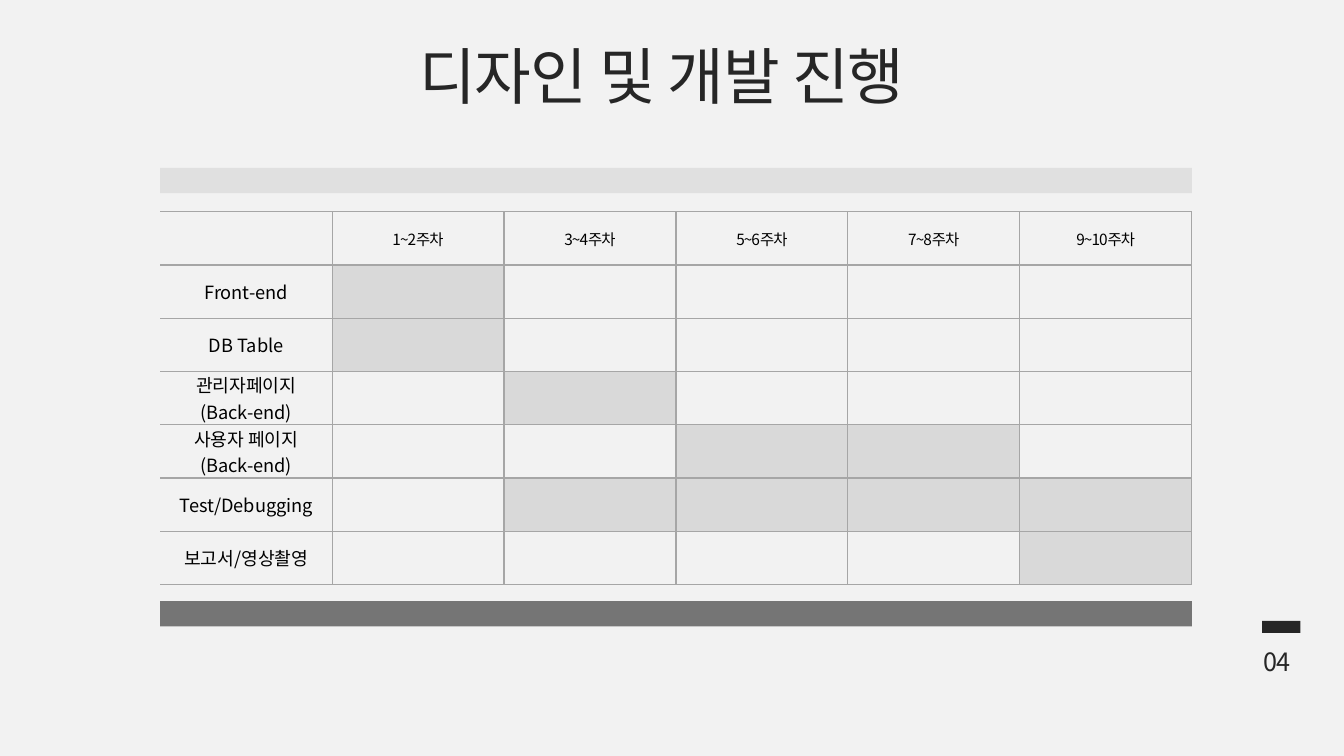
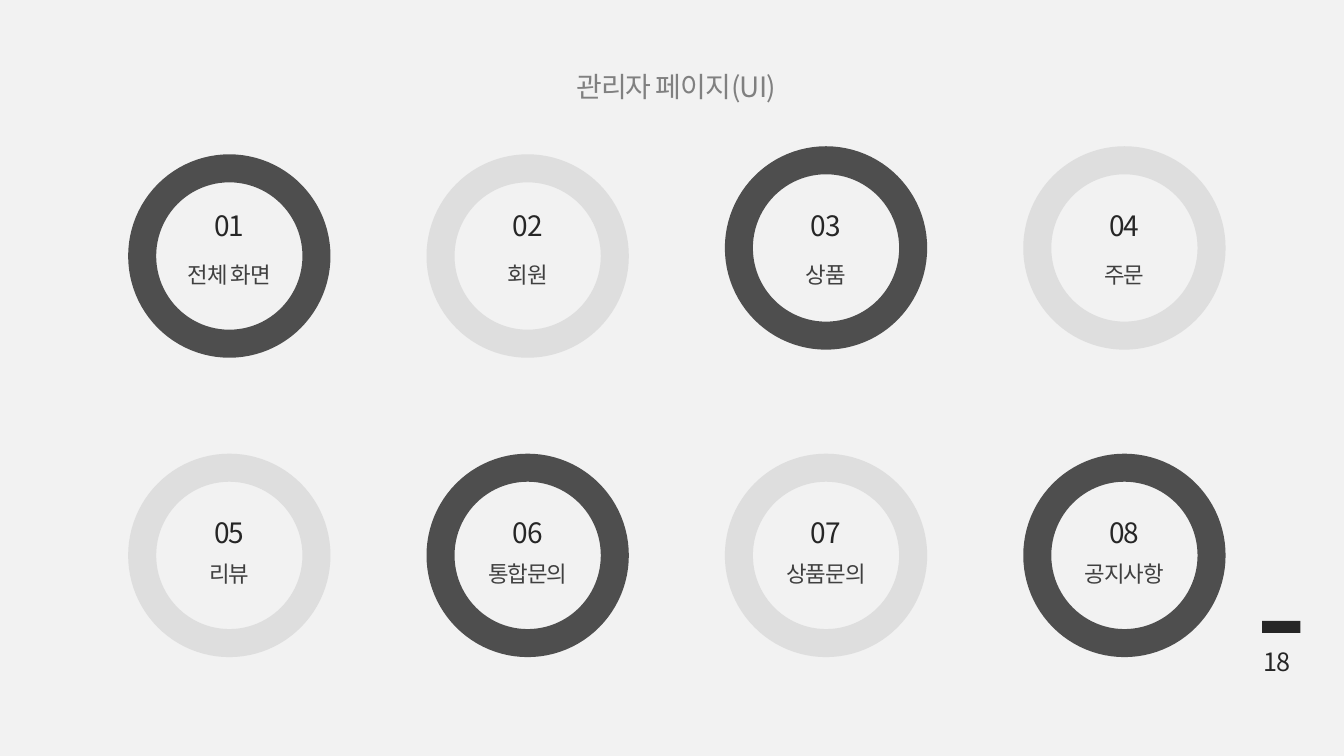
from dataclasses import dataclass
from itertools import product

from lxml import etree
from pptx import Presentation, util as u
from pptx.dml.color import RGBColor
from pptx.enum import shapes, text
from pptx.oxml import ns

FONT = "Noto Sans CJK KR"
PAPER = RGBColor(0xF2, 0xF2, 0xF2)
INK = RGBColor(0x26, 0x26, 0x26)
DARK = RGBColor(0x40, 0x40, 0x40)
MUTED = RGBColor(0x80, 0x80, 0x80)
RULE = RGBColor(0xA6, 0xA6, 0xA6)
LIGHT = RGBColor(0xD9, 0xD9, 0xD9)
BLACK = RGBColor(0, 0, 0)

SLIDE_WIDTH, SLIDE_HEIGHT = u.Inches(13.333), u.Inches(7.5)
BLANK_LAYOUT = 6


@dataclass(frozen=True)
class Area:
    """A rectangle in percent of the slide's width and height."""
    left: float
    top: float
    width: float
    height: float

    def lengths(self) -> tuple[int, int, int, int]:
        return (across(self.left), down(self.top),
                across(self.width), down(self.height))


@dataclass(frozen=True)
class TextStyle:
    size: float
    color: RGBColor
    align: text.PP_ALIGN = text.PP_ALIGN.CENTER
    spacing: int = -70  # hundredths of a point


@dataclass(frozen=True)
class Task:
    name: str
    periods: tuple[int, ...]


@dataclass(frozen=True)
class RingRow:
    """Vertical places of one row of rings, in percent of the height."""
    ring_tops: tuple[float, ...]
    number_top: float
    label_top: float


TITLE = TextStyle(44, INK)
SUBTITLE = TextStyle(20, MUTED)
PAGE_NUMBER = TextStyle(18, INK, text.PP_ALIGN.RIGHT)
PERIOD = TextStyle(11, BLACK)
TASK = TextStyle(13, BLACK, spacing=0)
RING_NUMBER = TextStyle(20, INK)
RING_LABEL = TextStyle(16, DARK)

SCHEDULE = Area(11.92, 28, 76.76, 49.33)
PERIODS = ("1~2주차", "3~4주차", "5~6주차", "7~8주차", "9~10주차")
TASKS = (
    Task("Front-end", (1,)),
    Task("DB Table", (1,)),
    Task("관리자페이지\n(Back-end)", (2,)),
    Task("사용자 페이지\n(Back-end)", (3, 4)),
    Task("Test/Debugging", (2, 3, 4, 5)),
    Task("보고서/영상촬영", (5,)),
)

RING_LABELS = ("전체 화면", "회원", "상품", "주문",
               "리뷰", "통합문의", "상품문의", "공지사항")
RING_COLUMNS = 4
RING_LEFT, RING_PITCH = 10.58, 22.2
RING_WIDTH, RING_HEIGHT = 12.97, 23.2
RING_ROWS = (
    RingRow((22.27, 22.27, 21.2, 21.2), 26.93, 33.87),
    RingRow((61.87,) * RING_COLUMNS, 67.47, 73.47),
)


def across(percent: float) -> int:
    return round(SLIDE_WIDTH * percent / 100)


def down(percent: float) -> int:
    return round(SLIDE_HEIGHT * percent / 100)


def write(text_frame, content: str, style: TextStyle) -> None:
    text_frame.text = content
    for paragraph in text_frame.paragraphs:
        paragraph.alignment = style.align
        for run in paragraph.runs:
            run.font.size = u.Pt(style.size)
            run.font.color.rgb = style.color
            run.font.name = FONT
            properties = run.font._element
            properties.set("spc", str(style.spacing))
            latin = properties.find(ns.qn("a:latin"))
            east_asian = etree.Element(ns.qn("a:ea"), typeface=FONT)
            latin.addnext(east_asian)


def add_text(slide, area: Area, content: str, style: TextStyle,
             anchor=text.MSO_ANCHOR.TOP) -> None:
    text_frame = slide.shapes.add_textbox(*area.lengths()).text_frame
    text_frame.word_wrap = True
    text_frame.vertical_anchor = anchor
    write(text_frame, content, style)


def set_line(line, color: RGBColor, points: float, opacity: int) -> None:
    line.color.rgb = color
    line.width = u.Pt(points)
    color_element = line._ln.find(".//" + ns.qn("a:srgbClr"))
    etree.SubElement(color_element, ns.qn("a:alpha"), val=str(opacity * 1000))


def add_band(slide, top: float, color: RGBColor) -> None:
    left, right = SCHEDULE.left, SCHEDULE.left + SCHEDULE.width
    band = slide.shapes.add_connector(
        shapes.MSO_CONNECTOR.STRAIGHT,
        across(left), down(top), across(right), down(top))
    set_line(band.line, color, 18, 70)
    etree.SubElement(band._element.spPr, ns.qn("a:effectLst"))


def add_ring(slide, area: Area, color: RGBColor) -> None:
    ring = slide.shapes.add_shape(shapes.MSO_SHAPE.OVAL, *area.lengths())
    ring.shadow.inherit = False
    ring.fill.background()
    set_line(ring.line, color, 20, 80)


def add_slide(presentation, page: str):
    """Add a blank slide with the page marker."""
    slide = presentation.slides.add_slide(
        presentation.slide_layouts[BLANK_LAYOUT])
    add_text(slide, Area(93.23, 84.8, 3.53, 5.33), page, PAGE_NUMBER)
    marker = slide.shapes.add_shape(
        shapes.MSO_SHAPE.RECTANGLE, *Area(93.9, 82.13, 2.85, 1.6).lengths())
    marker.shadow.inherit = False
    marker.fill.solid()
    marker.fill.fore_color.rgb = INK
    marker.line.fill.background()
    return slide


def set_borders(cell, open_left: bool) -> None:
    properties = cell._tc.get_or_add_tcPr()
    for side in "LRTB":
        border = etree.SubElement(
            properties, ns.qn(f"a:ln{side}"), w=str(u.Pt(1)))
        if side == "L" and open_left:
            etree.SubElement(border, ns.qn("a:noFill"))
        else:
            fill = etree.SubElement(border, ns.qn("a:solidFill"))
            etree.SubElement(fill, ns.qn("a:srgbClr"), val=str(RULE))


def format_cell(cell, content: str, style: TextStyle,
                open_left: bool, shaded: bool) -> None:
    cell.margin_top = cell.margin_bottom = 0
    cell.vertical_anchor = text.MSO_ANCHOR.MIDDLE
    if content:
        write(cell.text_frame, content, style)
    set_borders(cell, open_left)
    if shaded:
        cell.fill.solid()
        cell.fill.fore_color.rgb = LIGHT
    else:
        cell.fill.background()


def add_schedule(slide) -> None:
    row_count, column_count = len(TASKS) + 1, len(PERIODS) + 1
    table = slide.shapes.add_table(
        row_count, column_count, *SCHEDULE.lengths()).table
    table.first_row = table.horz_banding = False
    for row, column in product(range(row_count), range(column_count)):
        content, style, shaded = "", TASK, False
        if row == 0 and column > 0:
            content, style = PERIODS[column - 1], PERIOD
        elif row > 0:
            task = TASKS[row - 1]
            content = task.name if column == 0 else ""
            shaded = column in task.periods
        format_cell(table.cell(row, column), content, style,
                    column == 0, shaded)


def build_schedule_slide(presentation) -> None:
    slide = add_slide(presentation, "04")
    add_text(slide, Area(19.5, 4.8, 59.5, 10.13), "디자인 및 개발 진행",
             TITLE, text.MSO_ANCHOR.MIDDLE)
    add_band(slide, 23.87, LIGHT)
    add_band(slide, 81.2, DARK)
    add_schedule(slide)


def build_ring_slide(presentation) -> None:
    slide = add_slide(presentation, "18")
    add_text(slide, Area(24, 8.53, 52.6, 5.87), "관리자 페이지(UI)", SUBTITLE)
    for index, label in enumerate(RING_LABELS):
        row, column = divmod(index, RING_COLUMNS)
        places = RING_ROWS[row]
        left = RING_LEFT + column * RING_PITCH
        center = left + RING_WIDTH / 2
        color = LIGHT if (row + column) % 2 else INK
        add_ring(slide, Area(left, places.ring_tops[column],
                             RING_WIDTH, RING_HEIGHT), color)
        for content, style, top, width, height in (
                (f"{index + 1:02}", RING_NUMBER, places.number_top, 4.05, 5.87),
                (label, RING_LABEL, places.label_top, 16.2, 4.93)):
            add_text(slide, Area(center - width / 2, top, width, height),
                     content, style)


def main() -> None:
    presentation = Presentation()
    presentation.slide_width = SLIDE_WIDTH
    presentation.slide_height = SLIDE_HEIGHT
    background = presentation.slide_master.background.fill
    background.solid()
    background.fore_color.rgb = PAPER
    build_schedule_slide(presentation)
    build_ring_slide(presentation)
    presentation.save("out.pptx")


if __name__ == "__main__":
    main()
